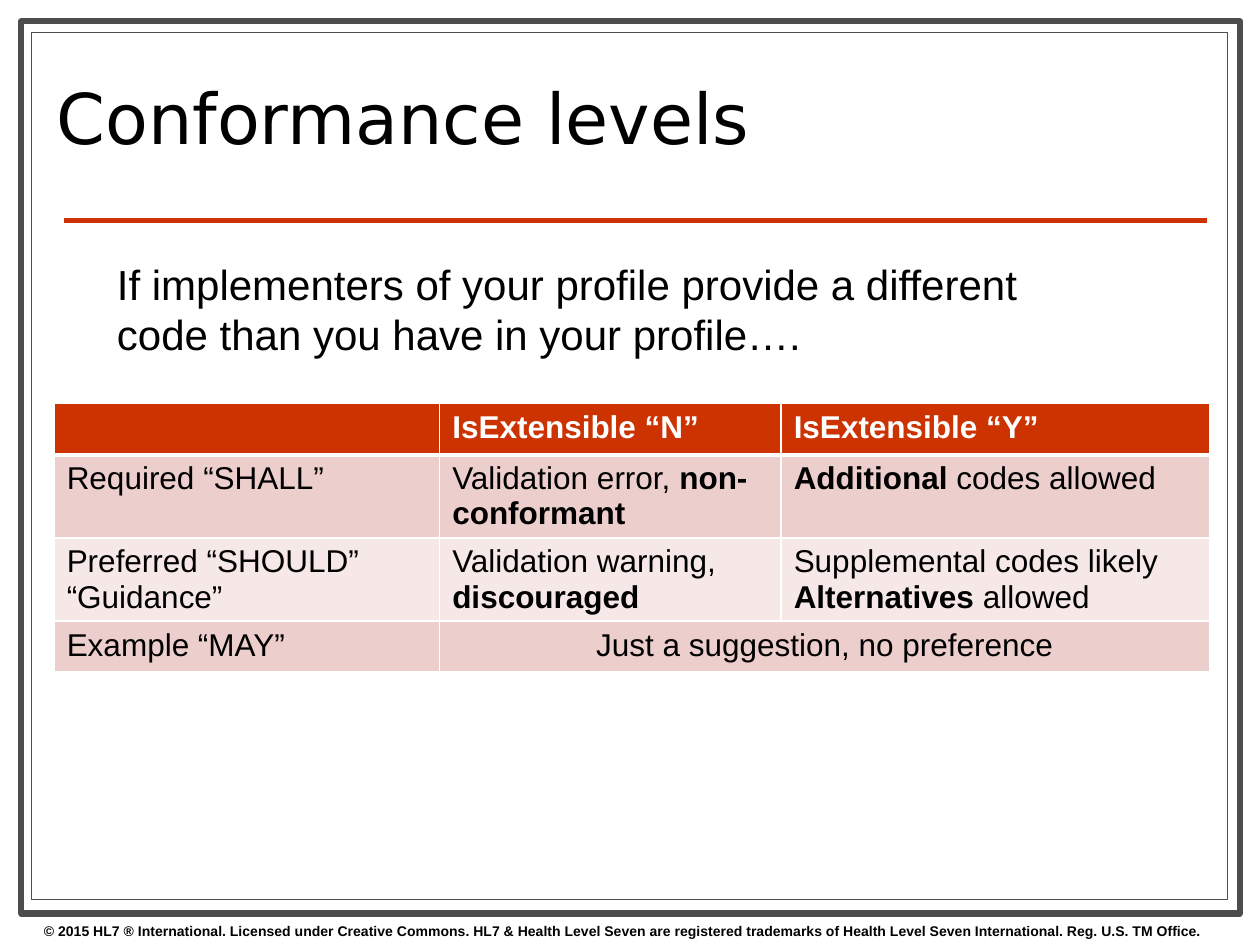
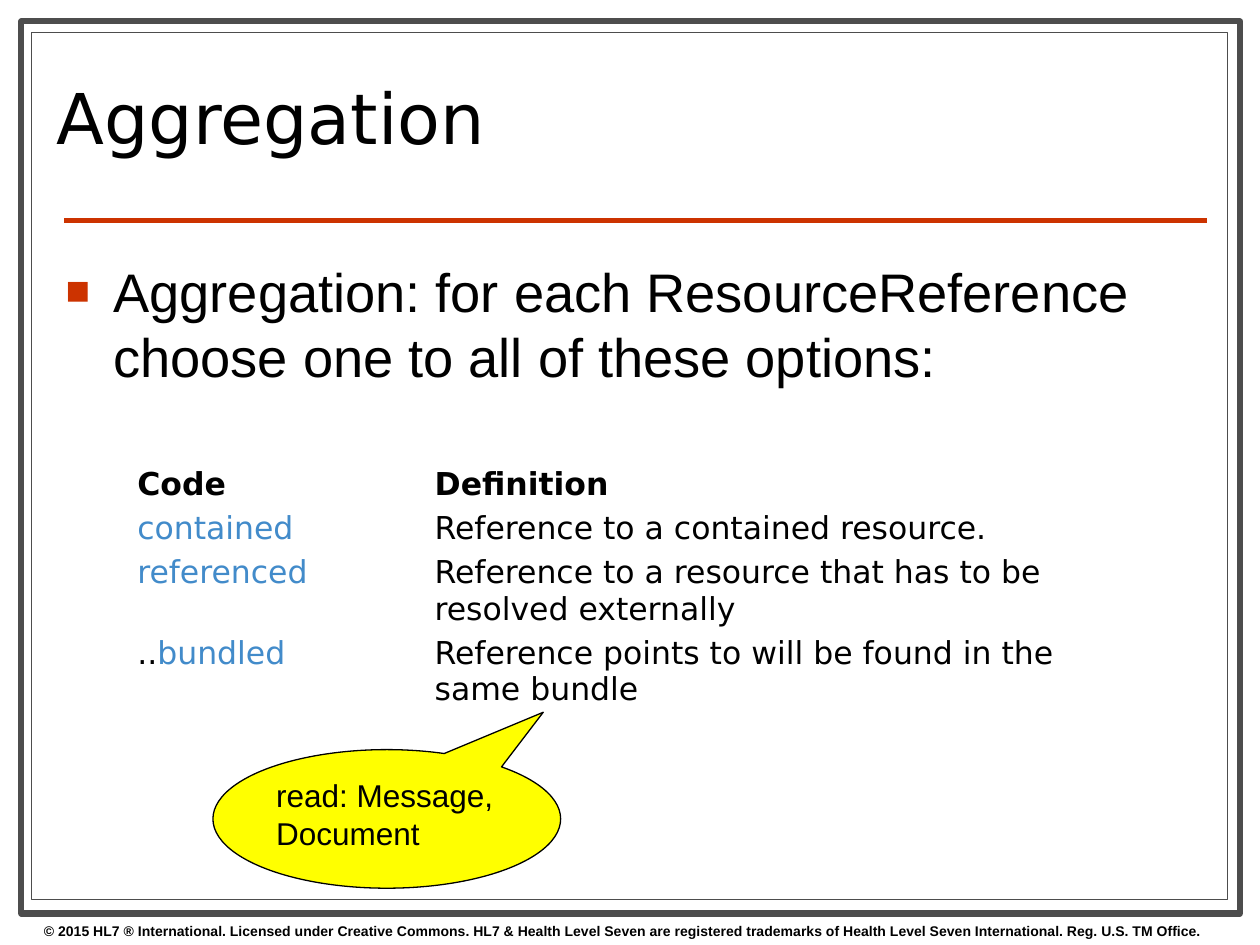
from dataclasses import dataclass

from lxml import etree
from pptx import Presentation
from pptx import util as u
from pptx.dml.color import RGBColor
from pptx.enum import shapes, text
from pptx.oxml import ns

BLACK = RGBColor(0x00, 0x00, 0x00)
WHITE = RGBColor(0xFF, 0xFF, 0xFF)
GREY = RGBColor(0x4D, 0x4D, 0x4D)
RED = RGBColor(0xCC, 0x33, 0x00)
ROSE = RGBColor(0xEC, 0xCE, 0xCC)
PALE_ROSE = RGBColor(0xF6, 0xE8, 0xE7)
BLUE = RGBColor(0x42, 0x8B, 0xCA)
YELLOW = RGBColor(0xFF, 0xFF, 0x00)

SANS = "Arial"
HEADING = "DejaVu Sans"
COPYRIGHT = (
    "© 2015 HL7 ® International. Licensed under Creative Commons. "
    "HL7 & Health Level Seven are registered trademarks of "
    "Health Level Seven International. Reg. U.S. TM Office."
)


@dataclass(frozen=True)
class Run:
    words: str
    bold: bool = False
    color: RGBColor = BLACK


@dataclass(frozen=True)
class Box:
    left: float
    top: float
    width: float
    height: float

    def lengths(self) -> tuple:
        return tuple(u.Inches(v) for v in (self.left, self.top, self.width, self.height))


@dataclass(frozen=True)
class Frame:
    box: Box
    line_width: float


@dataclass(frozen=True)
class Cell:
    paragraphs: tuple = ()
    align: text.PP_ALIGN = text.PP_ALIGN.LEFT


@dataclass(frozen=True)
class Grid:
    left: float
    top: float
    columns: tuple
    rows: tuple
    font: str


FRAMES = (
    Frame(Box(0.17, 0.17, 9.67, 7.08), 3.5),
    Frame(Box(0.25, 0.26, 9.49, 6.88), 0.75),
)
TITLE_BOX = Box(0.35, 0.36, 7.17, 1.26)
FOOTER_BOX = Box(0.25, 7.27, 9.75, 0.23)


# Text and XML helpers
def add_runs(p, runs, size: float, font: str) -> None:
    for run in runs:
        r = p.add_run()
        r.text = run.words
        r.font.size = u.Pt(size)
        r.font.name = font
        r.font.bold = run.bold
        r.font.color.rgb = run.color


def add_element(parent, tag: str, **attributes: str):
    return etree.SubElement(parent, ns.qn(tag), attributes)


def place(sp, box: Box) -> None:
    sp.left, sp.top, sp.width, sp.height = box.lengths()


def add_text(s, box: Box, run: Run, size: float) -> None:
    tf = s.shapes.add_textbox(*box.lengths()).text_frame
    tf.word_wrap = True
    add_runs(tf.paragraphs[0], [run], size, SANS)


def add_bullet(p, indent: float) -> None:
    pPr = p._p.get_or_add_pPr()
    pPr.set("marL", str(u.Inches(indent)))
    pPr.set("indent", str(-u.Inches(indent)))
    add_element(add_element(pPr, "a:buClr"), "a:srgbClr", val=str(RED))
    add_element(pPr, "a:buSzPct", val="75000")
    add_element(pPr, "a:buFont", typeface=SANS)
    add_element(pPr, "a:buChar", char="■")


# Frame, rule, footer and title shared by the slides
def add_slide(prs, layout: int, title: str):
    s = prs.slides.add_slide(prs.slide_layouts[layout])
    placeholders = list(s.placeholders)

    for frame in FRAMES:
        sp = s.shapes.add_shape(shapes.MSO_SHAPE.RECTANGLE, *frame.box.lengths())
        sp.shadow.inherit = False
        sp.fill.solid()
        sp.fill.fore_color.rgb = WHITE
        sp.line.color.rgb = GREY
        sp.line.width = u.Pt(frame.line_width)

    rule = s.shapes.add_connector(
        shapes.MSO_CONNECTOR.STRAIGHT,
        u.Inches(0.51), u.Inches(1.75), u.Inches(9.58), u.Inches(1.75),
    )
    rule.line.color.rgb = RED
    rule.line.width = u.Pt(3)
    add_element(rule._element.spPr, "a:effectLst")
    add_text(s, FOOTER_BOX, Run(COPYRIGHT, bold=True), 8)

    # Bring the placeholders in front of the filled frames
    for placeholder in placeholders:
        s.shapes._spTree.append(placeholder._element)

    sp = s.shapes.title
    place(sp, TITLE_BOX)
    tf = sp.text_frame
    tf.auto_size = text.MSO_AUTO_SIZE.NONE
    tf.vertical_anchor = text.MSO_ANCHOR.MIDDLE
    p = tf.paragraphs[0]
    p.alignment = text.PP_ALIGN.LEFT
    p.line_spacing = 0.8
    add_runs(p, [Run(title)], 40, HEADING)
    return s


# Tables
def add_table(s, grid: Grid, content):
    box = Box(grid.left, grid.top, sum(grid.columns), sum(grid.rows))
    table = s.shapes.add_table(
        len(grid.rows), len(grid.columns), *box.lengths()
    ).table
    table.first_row = table.horz_banding = False
    for column, width in zip(table.columns, grid.columns):
        column.width = u.Inches(width)
    for row, height in zip(table.rows, grid.rows):
        row.height = u.Inches(height)

    for row, row_content in zip(table.rows, content):
        for cell, entry in zip(row.cells, row_content):
            tf = cell.text_frame
            for i, runs in enumerate(entry.paragraphs):
                p = tf.add_paragraph() if i else tf.paragraphs[0]
                p.alignment = entry.align
                add_runs(p, runs, 18, grid.font)
    return table


def fill_cell(cell, color: RGBColor) -> None:
    cell.fill.solid()
    cell.fill.fore_color.rgb = color


def add_borders(cell, top: float, bottom: float) -> None:
    tcPr = cell._tc.get_or_add_tcPr()
    for side, width in (("L", 1), ("R", 1), ("T", top), ("B", bottom)):
        ln = add_element(tcPr, f"a:ln{side}", w=str(u.Pt(width)))
        add_element(add_element(ln, "a:solidFill"), "a:srgbClr", val=str(WHITE))


def simple(*runs: Run) -> Cell:
    return Cell((runs,))


def build_conformance(prs) -> None:
    s = add_slide(prs, 5, "Conformance levels")
    grid = Grid(0.43, 3.2, (3.06, 2.71, 3.4), (0.41, 0.66, 0.66, 0.4), SANS)
    content = (
        (
            Cell(),
            simple(Run("IsExtensible “N”", True, WHITE)),
            simple(Run("IsExtensible “Y”", True, WHITE)),
        ),
        (
            simple(Run("Required “SHALL”")),
            simple(Run("Validation error, "), Run("non-conformant", True)),
            simple(Run("Additional", True), Run(" codes allowed")),
        ),
        (
            Cell(((Run("Preferred “SHOULD”"),), (Run("“Guidance”"),))),
            simple(Run("Validation warning, "), Run("discouraged", True)),
            Cell((
                (Run("Supplemental codes likely"),),
                (Run("Alternatives", True), Run(" allowed")),
            )),
        ),
        (
            simple(Run("Example “MAY”")),
            Cell(((Run("Just a suggestion, no preference"),),), text.PP_ALIGN.CENTER),
        ),
    )
    table = add_table(s, grid, content)
    table.cell(3, 1).merge(table.cell(3, 2))
    for i, (row, color) in enumerate(zip(table.rows, (RED, ROSE, PALE_ROSE, ROSE))):
        for cell in row.cells:
            add_borders(cell, top=3 if i == 1 else 1, bottom=3 if i == 0 else 1)
            fill_cell(cell, color)

    question = (
        "If implementers of your profile provide a different code "
        "than you have in your profile…."
    )
    add_text(s, Box(0.83, 2, 7.95, 0.91), Run(question), 24)


def build_aggregation(prs) -> None:
    s = add_slide(prs, 1, "Aggregation")

    # Bulleted introduction
    body = s.placeholders[1]
    place(body, Box(0.42, 2, 9.17, 4.9))
    tf = body.text_frame
    tf.auto_size = text.MSO_AUTO_SIZE.NONE
    p = tf.paragraphs[0]
    p.space_before = u.Pt(0)
    add_bullet(p, 0.38)
    intro = "Aggregation: for each ResourceReference choose one to all of these options:"
    add_runs(p, [Run(intro)], 31, SANS)

    # Code definitions
    grid = Grid(1.06, 3.67, (2.36, 5.2), (0.35, 0.35, 0.64, 0.64), HEADING)
    content = (
        (simple(Run("Code", True)), simple(Run("Definition", True))),
        (
            simple(Run("contained", color=BLUE)),
            simple(Run("Reference to a contained resource.")),
        ),
        (
            simple(Run("referenced", color=BLUE)),
            simple(Run("Reference to a resource that has to be resolved externally")),
        ),
        (
            simple(Run(".."), Run("bundled", color=BLUE)),
            simple(Run("Reference points to will be found in the same bundle")),
        ),
    )
    table = add_table(s, grid, content)
    for cell in table.iter_cells():
        cell.margin_left = cell.margin_right = u.Inches(0.03)
        cell.margin_top = cell.margin_bottom = u.Inches(0.03)
        fill_cell(cell, WHITE)

    # Callout on the bundled option
    callout = s.shapes.add_shape(
        shapes.MSO_SHAPE.OVAL_CALLOUT, *Box(1.69, 5.95, 2.76, 1.1).lengths()
    )
    callout.adjustments[0] = 0.45
    callout.adjustments[1] = -0.77
    callout.shadow.inherit = False
    callout.fill.solid()
    callout.fill.fore_color.rgb = YELLOW
    callout.line.color.rgb = BLACK
    callout.line.width = u.Pt(0.75)
    tf = callout.text_frame
    tf.word_wrap = True
    tf.vertical_anchor = text.MSO_ANCHOR.TOP
    p = tf.paragraphs[0]
    p.alignment = text.PP_ALIGN.LEFT
    add_runs(p, [Run("read: Message, Document")], 18, SANS)


def main() -> None:
    prs = Presentation()
    prs.slide_width, prs.slide_height = u.Inches(10), u.Inches(7.5)
    build_conformance(prs)
    build_aggregation(prs)
    prs.save("out.pptx")


if __name__ == "__main__":
    main()
